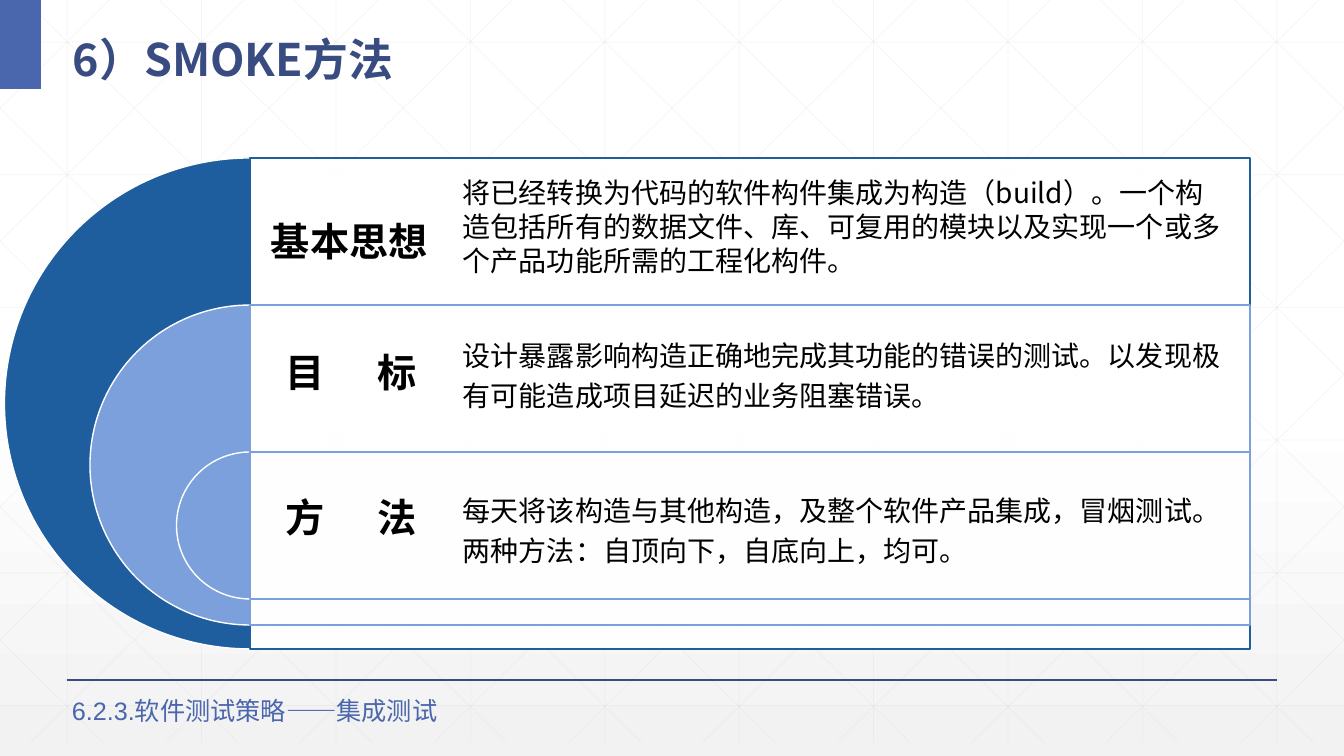
from lxml.etree import SubElement
from pptx import Presentation
from pptx.dml.color import RGBColor
from pptx.enum.shapes import MSO_CONNECTOR, MSO_SHAPE
from pptx.enum.text import MSO_ANCHOR, PP_ALIGN
from pptx.oxml.ns import qn
from pptx.util import Emu, Pt

WIDTH, HEIGHT = 1344, 756
SCALE = 12192000 / WIDTH
COLORS = {
    "white": "FFFFFF", "mist": "F2F2F2", "grid": "D9D9D9", "navy": "384C81",
    "accent": "4A66AC", "deep": "1E5E9E", "sky": "7BA0DB", "black": "000000",
}
SANS, LATIN = "Noto Sans CJK SC", "Arial"


def px(length):
    return Emu(round(length * SCALE))


def rgb(name):
    return RGBColor.from_string(COLORS[name])


def set_alpha(fill, percent):
    color = fill._xPr.find(qn("a:solidFill"))[0]
    SubElement(color, qn("a:alpha"), val=str(percent * 1000))


def add_line(shapes, start, end, color, width, alpha=None):
    line = shapes.add_connector(MSO_CONNECTOR.STRAIGHT, *map(px, (*start, *end)))
    line.line.color.rgb = rgb(color)
    line.line.width = Pt(width)
    if alpha:
        set_alpha(line.line.fill, alpha)
    SubElement(line._element.spPr, qn("a:effectLst"))


def add_block(page, kind, box, fill, outline=None, alpha=None):
    block = page.shapes.add_shape(kind, *map(px, box))
    block.shadow.inherit = False
    block.fill.solid()
    block.fill.fore_color.rgb = rgb(fill)
    if alpha:
        set_alpha(block.fill, alpha)
    if outline:
        block.line.color.rgb = rgb(outline)
        block.line.width = Pt(1)
    else:
        block.line.fill.background()
    return block


def add_text(page, box, lines, size, color="black", font=SANS, bold=False,
             spacing=None, align=PP_ALIGN.LEFT, anchor=MSO_ANCHOR.TOP, tab=None):
    frame = page.shapes.add_textbox(*map(px, box)).text_frame
    frame.word_wrap = True
    frame.vertical_anchor = anchor
    for index, line in enumerate(lines):
        para = frame.add_paragraph() if index else frame.paragraphs[0]
        para.text = line
        para.alignment = align
        if spacing:
            para.line_spacing = spacing
        if tab:
            stops = SubElement(para._p.get_or_add_pPr(), qn("a:tabLst"))
            SubElement(stops, qn("a:tab"), pos=str(px(tab)), algn="l")
        para.font.size = Pt(size)
        para.font.bold = bold
        para.font.color.rgb = rgb(color)
        para.font.name = font
        SubElement(para._p.pPr.find(qn("a:defRPr")), qn("a:ea"), typeface=SANS)


def draw_backdrop(page):
    fill = page.background.fill
    fill.gradient()
    fill.gradient_angle = 270
    for stop, position, color in zip(fill.gradient_stops, (0.53, 1), ("white", "mist")):
        stop.position = position
        stop.color.rgb = rgb(color)

    # Faint square grid with diagonals clipped at the slide edges
    grid = page.shapes.add_group_shape().shapes
    bottom, run, step = 743, 751, WIDTH / 10
    slope = bottom / run
    segments = []
    for column in range(10):
        x = (column + 0.5) * step
        segments.append(((x, 0), (x, bottom)))
    for row in range(6):
        y = 42 + row * 132.7
        segments.append(((0, y), (WIDTH, y)))
    for column in range(-5, 10):
        top_x = 25 + column * step
        left, right = max(top_x, 0), min(top_x + run, WIDTH)
        start_y, end_y = (left - top_x) * slope, (right - top_x) * slope
        segments.append(((left, start_y), (right, end_y)))
        segments.append(((WIDTH - left, start_y), (WIDTH - right, end_y)))
    for start, end in segments:
        add_line(grid, start, end, "grid", 0.5, alpha=25)


def draw_header(page, box):
    left, top, width, height = box
    add_block(page, MSO_SHAPE.RECTANGLE, (left, top, 41, height), "accent")
    add_text(page, (left + 63, top + 14, width - 129, 74), ["6）SMOKE方法"], 32,
             "navy", bold=True, spacing=1.3, anchor=MSO_ANCHOR.MIDDLE)


def draw_nested_target(page, box):
    left, top, width, height = box
    # Half discs, each with its panel, share one bottom-heavy stack
    layers = [(0, height, "deep"), (147, 320, "sky"), (294, 147, "sky")]
    for offset, size, color in layers:
        pie = add_block(page, MSO_SHAPE.PIE,
                        (left - size / 2, top + offset, size, size), color, "white")
        pie.adjustments[0], pie.adjustments[1] = 54, 162
        add_block(page, MSO_SHAPE.RECTANGLE, (left, top + offset, width, size),
                  "white", color, alpha=90)

    # Headings
    add_text(page, (left + 11, top + 54, 190, 57), ["基本思想"], 28, font=LATIN, bold=True)
    for offset, heading in ((185, "目\t标"), (330, "方\t法")):
        add_text(page, (left + 26, top + offset, 176, 57), [heading], 28,
                 font=LATIN, bold=True, tab=92)

    # Explanations
    passages = [
        (13, 142, None, ["将已经转换为代码的软件构件集成为构造（build）。一个构造包括所有的数据文件、库、"
                         "可复用的模块以及实现一个或多个产品功能所需的工程化构件。"]),
        (169, 92, 1.2, ["设计暴露影响构造正确地完成其功能的错误的测试。"
                        "以发现极有可能造成项目延迟的业务阻塞错误。"]),
        (324, 122, 1.2, ["每天将该构造与其他构造，及整个软件产品集成，冒烟测试。",
                         "两种方法：自顶向下，自底向上，均可。"]),
    ]
    for offset, tall, spacing, lines in passages:
        add_text(page, (left + 203, top + offset, 784, tall), lines, 20, spacing=spacing)


def draw_footer(page, box):
    left, top, width, height = box
    add_line(page.shapes, (left, top), (left + width, top), "navy", 1)
    add_text(page, (left - 5, top + 10, 466, height - 10),
             ["6.2.3.软件测试策略——集成测试"], 18, "accent", LATIN)


def main():
    deck = Presentation()
    deck.slide_width, deck.slide_height = px(WIDTH), px(HEIGHT)
    page = deck.slides.add_slide(deck.slide_layouts[6])
    draw_backdrop(page)
    draw_header(page, (0, 0, WIDTH, 89))
    draw_nested_target(page, (250, 158, 1000, 491))
    draw_footer(page, (67, 680, 1210, 50))
    deck.save("out.pptx")


if __name__ == "__main__":
    main()
